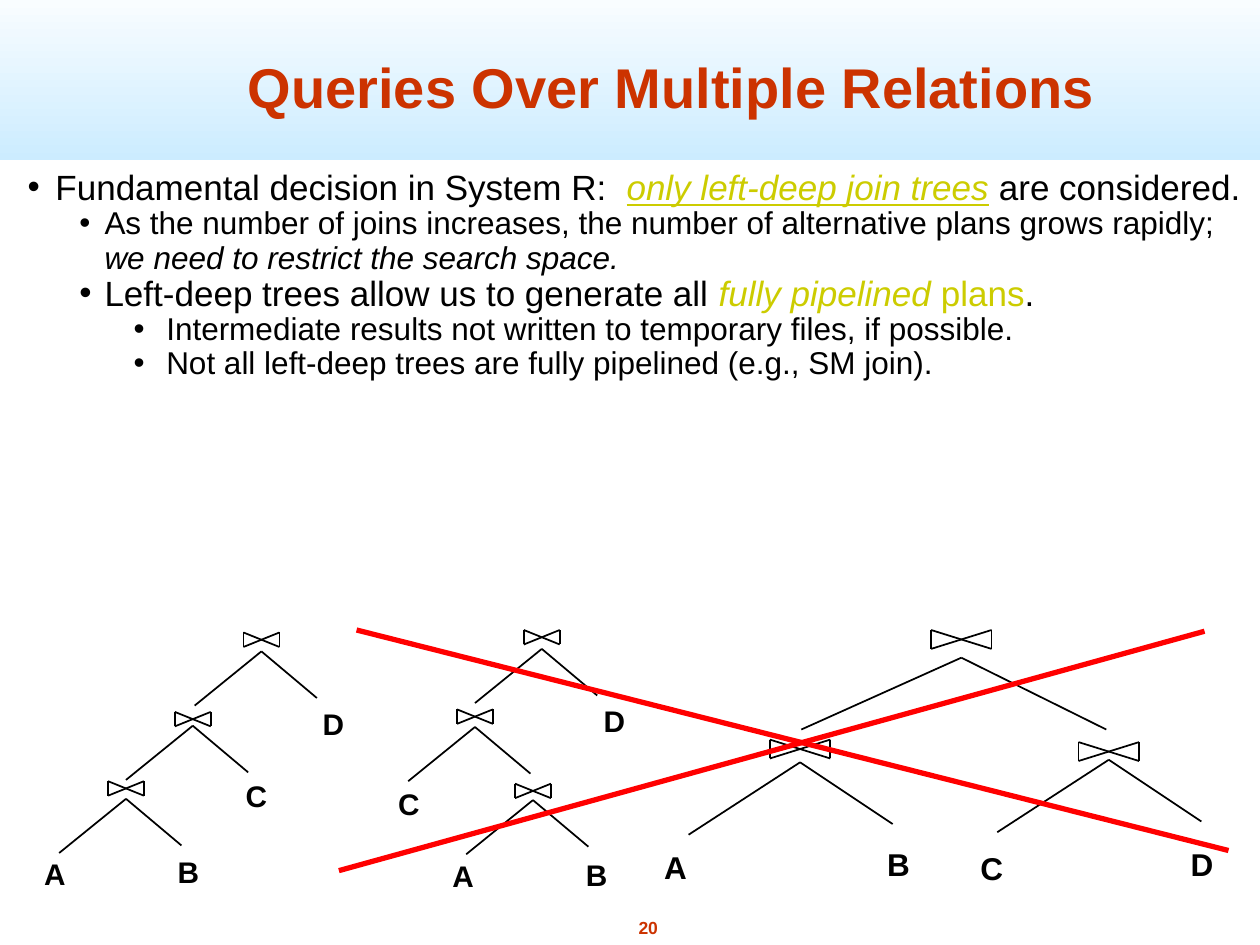
"""Build the slide on left-deep join trees, on a grid of 100 columns by 75 rows."""
from lxml.etree import SubElement
from pptx import Presentation
from pptx.dml.color import RGBColor
from pptx.enum.shapes import MSO_CONNECTOR, MSO_SHAPE
from pptx.enum.text import MSO_ANCHOR, PP_ALIGN
from pptx.oxml.ns import qn
from pptx.util import Inches, Pt

COLORS = {
    "title": "CC3300", "text": "000000", "accent": "CCCC00",
    "cross": "FF0000", "band": "CCECFF", "white": "FFFFFF",
}

prs = Presentation()
prs.slide_width, prs.slide_height = Inches(10), Inches(7.5)
col, row = prs.slide_width / 100, prs.slide_height / 75
s = prs.slides.add_slide(prs.slide_layouts[5])


def add_line(x1, y1, x2, y2, color="text", width=1):
    c = s.shapes.add_connector(MSO_CONNECTOR.STRAIGHT, int(x1 * col), int(y1 * row),
                               int(x2 * col), int(y2 * row))
    c.line.color.rgb = RGBColor.from_string(COLORS[color])
    c.line.width = Pt(width)
    SubElement(c.element.spPr, qn("a:effectLst"))


def add_text(x, y, w, h, text="", size=18, color="text", wrap=False):
    tb = s.shapes.add_textbox(int(x * col), int(y * row), int(w * col), int(h * row))
    tf = tb.text_frame
    tf.margin_left = tf.margin_right = tf.margin_top = tf.margin_bottom = Inches(0.05)
    tf.word_wrap = wrap
    p = tf.paragraphs[0]
    p.text = text
    for r in p.runs:
        r.font.name, r.font.size, r.font.bold = "Arial", Pt(size), True
        r.font.color.rgb = RGBColor.from_string(COLORS[color])
    return tf


band = s.shapes.add_shape(MSO_SHAPE.RECTANGLE, 0, int(-1.7 * row), prs.slide_width, int(14.4 * row))
band.shadow.inherit = False
band.line.fill.background()
band.fill.gradient()
band.fill.gradient_angle = 90
for stop, name in zip(band.fill.gradient_stops, ("band", "white")):
    stop.color.rgb = RGBColor.from_string(COLORS[name])
s.shapes.element.insert(2, band.element)

title = s.shapes.title
title.left, title.top = int(10.8 * col), int(3.2 * row)
title.width, title.height = int(85 * col), int(6.8 * row)
tf = title.text_frame
tf.text = "Queries Over Multiple Relations"
tf.vertical_anchor = MSO_ANCHOR.BOTTOM
tf.margin_left = tf.margin_right = tf.margin_top = tf.margin_bottom = Inches(0.05)
p = tf.paragraphs[0]
p.alignment = PP_ALIGN.CENTER
r = p.runs[0]
r.font.name, r.font.size, r.font.bold = "Arial", Pt(32), True
r.font.color.rgb = RGBColor.from_string(COLORS["title"])

add_text(50.1, 72.3, 2.7, 2.7, "20", 10, "title").paragraphs[0].alignment = PP_ALIGN.CENTER

# level, size, runs of (text, color, italic, underline)
bullets = [
    (0, 20, [("Fundamental decision in System R:  ", "text", False, False),
             ("only left-deep join trees", "accent", True, True),
             (" ", "text", True, False),
             ("are considered.", "text", False, False)]),
    (1, 18, [("As the number of joins increases, the number of alternative plans grows rapidly; ",
              "text", False, False),
             ("we need to restrict the search space.", "text", True, False)]),
    (1, 20, [("Left-deep trees allow us to generate all ", "text", False, False),
             ("fully pipelined ", "accent", True, False),
             ("plans", "accent", False, False),
             (".", "text", False, False)]),
    (2, 18, [("Intermediate results not written to temporary files, if possible.",
              "text", False, False)]),
    (2, 18, [("Not all left-deep trees are fully pipelined (e.g., SM join).",
              "text", False, False)]),
]
indents = [(0.22, -0.22), (0.61, -0.2), (1.1, -0.26)]
tf = add_text(1.7, 12.5, 98.3, 36.7, wrap=True)
for i, (level, size, runs) in enumerate(bullets):
    p = tf.add_paragraph() if i else tf.paragraphs[0]
    p.level = level
    p.line_spacing = 0.9 if level else 1.05
    pPr = p._p.get_or_add_pPr()
    left, hang = indents[level]
    pPr.set("marL", str(Inches(left)))
    pPr.set("indent", str(Inches(hang)))
    SubElement(pPr, qn("a:buFont"), typeface="Arial")
    SubElement(pPr, qn("a:buChar"), char="•")
    for text, color, italic, underline in runs:
        r = p.add_run()
        r.text = text
        r.font.name, r.font.size = "Arial", Pt(size)
        r.font.italic, r.font.underline = italic, underline
        r.font.color.rgb = RGBColor.from_string(COLORS[color])

small, large = (2.85, 1.15), (4.8, 1.5)
narrow = [(-5.3, 4.3), (4.4, 3.7)]
wide = [(-8.85, 5.75), (7.35, 4.9)]
joins = [
    (20.75, 50.2, 51.7, small, narrow), (15.3, 56.5, 57.6, small, narrow),
    (10, 62, 63.4, small, narrow), (43, 50, 51.5, small, narrow),
    (37.7, 56.3, 57.7, small, narrow), (42.3, 62.2, 63.5, small, narrow),
    (76.3, 50, 52.2, large, [(-12.7, 5.7), (11.5, 5.7)]),
    (63.5, 58.7, 60.5, large, wide), (88, 58.9, 60.3, large, wide),
]
for x, top, apex, (w, h), arms in joins:
    x1, x2, bottom = x - w / 2, x + w / 2, top + h
    add_line(x1, top, x1, bottom)
    add_line(x2, top, x2, bottom)
    add_line(x1, top, x2, bottom)
    add_line(x1, bottom, x2, top)
    for dx, dy in arms:
        add_line(x, apex, x + dx, apex + dy)

leaves = {
    17: [("B", 13.6, 67.3), ("A", 3, 67.4), ("C", 19, 61.2), ("D", 25.1, 55.5),
         ("B", 46, 67.5), ("A", 35.4, 67.6), ("C", 31.1, 61.9), ("D", 47.4, 55.3)],
    18: [("C", 77.3, 66.9), ("D", 94, 66.6), ("B", 69.9, 66.6), ("A", 52.2, 66.8)],
}
for size, labels in leaves.items():
    for name, x, y in labels:
        add_text(x, y, 2.8, 3.7, name, size)

add_line(28.3, 50, 97.5, 67.5, "cross", 3)
add_line(26.9, 69.1, 95.6, 50.1, "cross", 3)

prs.save("out.pptx")
